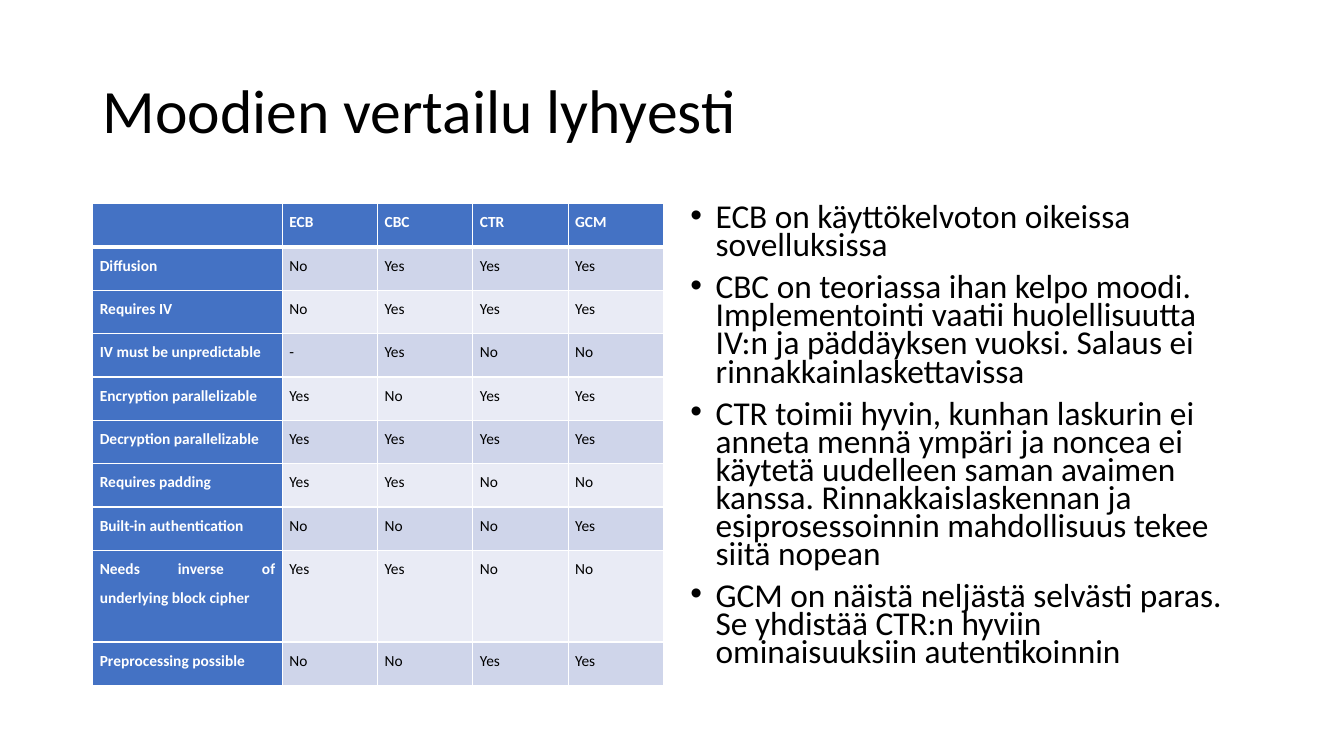
from pptx import Presentation
from pptx.dml.color import RGBColor as Rgb
from pptx.enum.text import MSO_ANCHOR as Anchor, PP_ALIGN as Align
from pptx.oxml.ns import qn
from pptx.util import Inches, Pt
from lxml.etree import SubElement as Sub

FONT = "Calibri"
HUES = {"ink": "000000", "white": "FFFFFF", "head": "4472C4",
        "odd": "CFD5EA", "even": "E9EBF5"}
TITLE = "Moodien vertailu lyhyesti"
NOTES = [
    "ECB on käyttökelvoton oikeissa sovelluksissa",
    "CBC on teoriassa ihan kelpo moodi. Implementointi vaatii huolellisuutta "
    "IV:n ja päddäyksen vuoksi. Salaus ei rinnakkainlaskettavissa",
    "CTR toimii hyvin, kunhan laskurin ei anneta mennä ympäri ja noncea ei "
    "käytetä uudelleen saman avaimen kanssa. Rinnakkaislaskennan ja "
    "esiprosessoinnin mahdollisuus tekee siitä nopean",
    "GCM on näistä neljästä selvästi paras. Se yhdistää CTR:n hyviin "
    "ominaisuuksiin autentikoinnin",
]
MODES = [
    ("", "ECB", "CBC", "CTR", "GCM"),
    ("Diffusion", "No", "Yes", "Yes", "Yes"),
    ("Requires IV", "No", "Yes", "Yes", "Yes"),
    ("IV must be unpredictable", "-", "Yes", "No", "No"),
    ("Encryption parallelizable", "Yes", "No", "Yes", "Yes"),
    ("Decryption parallelizable", "Yes", "Yes", "Yes", "Yes"),
    ("Requires padding", "Yes", "Yes", "No", "No"),
    ("Built-in authentication", "No", "No", "No", "Yes"),
    ("Needs inverse of underlying block cipher", "Yes", "Yes", "No", "No"),
    ("Preprocessing possible", "No", "No", "Yes", "Yes"),
]
TALL = 8


def add_run(para, text, size, hue="ink", bold=False):
    run = para.add_run()
    run.text = text
    font = run.font
    font.name, font.size, font.bold = FONT, Pt(size), bold
    font.color.rgb = Rgb.from_string(HUES[hue])


def add_box(slide, left, top, width, height, anchor):
    box = slide.shapes.add_textbox(
        Inches(left), Inches(top), Inches(width), Inches(height))
    frame = box.text_frame
    frame.word_wrap = True
    frame.vertical_anchor = anchor
    return frame


def add_title(slide):
    para = add_box(slide, 0.92, 0.4, 11.5, 1.45, Anchor.MIDDLE).paragraphs[0]
    para.line_spacing = 0.9
    add_run(para, TITLE, 44)


def add_list(slide):
    frame = add_box(slide, 6.75, 2, 5.67, 4.76, Anchor.TOP)
    for i, note in enumerate(NOTES):
        para = frame.add_paragraph() if i else frame.paragraphs[0]
        para.line_spacing = 0.7
        para.space_before = Pt(10)
        props = para._p.get_or_add_pPr()
        props.set("marL", str(Inches(0.25)))
        props.set("indent", str(Inches(-0.25)))
        Sub(props, qn("a:buFont"), typeface="Arial")
        Sub(props, qn("a:buChar"), char="•")
        add_run(para, note, 23.8)


def add_edges(cell, top, bottom):
    props = cell._tc.get_or_add_tcPr()
    for side, width in zip("LRTB", (1, 1, top, bottom)):
        line = Sub(props, qn(f"a:ln{side}"), w=str(Pt(width)))
        fill = Sub(line, qn("a:solidFill"))
        Sub(fill, qn("a:srgbClr"), val=HUES["white"])


def fill_cell(cell, text, row, col):
    head = row == 0 or col == 0
    add_edges(cell, 3 if row == 1 else 1, 3 if row == 0 else 1)
    hue = "head" if head else "odd" if row % 2 else "even"
    cell.fill.solid()
    cell.fill.fore_color.rgb = Rgb.from_string(HUES[hue])
    cell.margin_left = cell.margin_right = Inches(0.07)
    cell.margin_top = cell.margin_bottom = 0
    if text:
        para = cell.text_frame.paragraphs[0]
        para.alignment = Align.JUSTIFY
        para.line_spacing = 1.5
        para.space_before = para.space_after = Pt(8)
        add_run(para, text, 11, "white" if head else "ink", head)


def add_grid(slide):
    table = slide.shapes.add_table(
        len(MODES), len(MODES[0]), Inches(0.92), Inches(2.02),
        Inches(5.67), Inches(4.76)).table
    for i, col in enumerate(table.columns):
        col.width = Inches(0.945 if i else 1.88)
    for i, row in enumerate(table.rows):
        row.height = Inches(0.91 if i == TALL else 0.43)
        for j, text in enumerate(MODES[i]):
            fill_cell(table.cell(i, j), text, i, j)


def main():
    deck = Presentation()
    deck.slide_width, deck.slide_height = Inches(13.33), Inches(7.5)
    slide = deck.slides.add_slide(deck.slide_layouts[6])
    add_title(slide)
    add_list(slide)
    add_grid(slide)
    deck.save("out.pptx")


if __name__ == "__main__":
    main()
